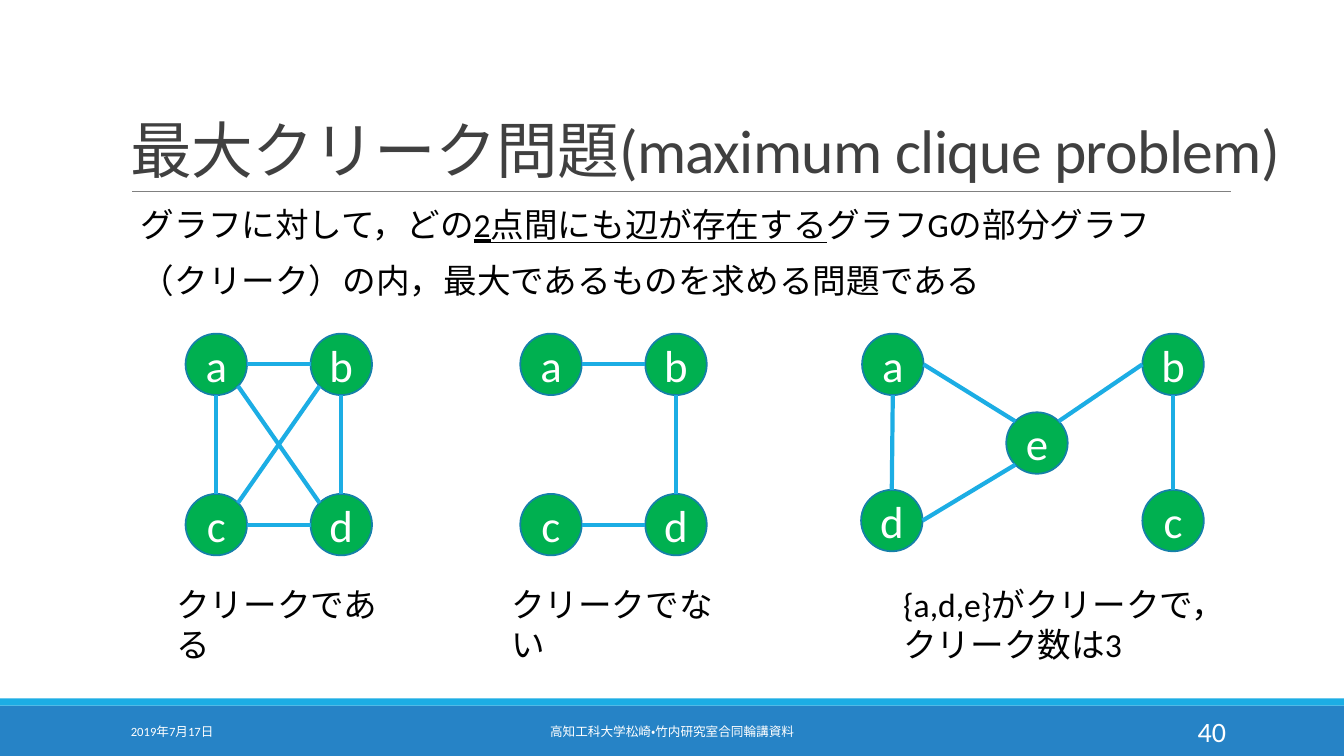
from math import cos, radians, sin

from lxml import etree
from pptx import Presentation
from pptx.dml.color import RGBColor
from pptx.enum.lang import MSO_LANGUAGE_ID
from pptx.enum.shapes import MSO_CONNECTOR, MSO_SHAPE
from pptx.enum.text import MSO_ANCHOR, PP_ALIGN
from pptx.oxml.ns import qn
from pptx.util import Inches, Pt

RECTANGLE, OVAL = MSO_SHAPE.RECTANGLE, MSO_SHAPE.OVAL
STRAIGHT = MSO_CONNECTOR.STRAIGHT
TOP, MIDDLE, BOTTOM = MSO_ANCHOR.TOP, MSO_ANCHOR.MIDDLE, MSO_ANCHOR.BOTTOM
LEFT, CENTER, RIGHT = PP_ALIGN.LEFT, PP_ALIGN.CENTER, PP_ALIGN.RIGHT
JAPANESE = MSO_LANGUAGE_ID.JAPANESE

DIAMETER = 0.61
COMPASS = {"e": 0, "se": 45, "s": 90, "sw": 135, "w": 180, "nw": 225, "n": 270, "ne": 315}


def rgb(value):
    return RGBColor.from_string(value)


class CliqueSlide:
    font = "Calibri"
    black, white, gray = "000000", "FFFFFF", "404040"
    green, outline = "00B050", "1580A9"
    sky, blue, rule_gray = "1CADE4", "2683C6", "808080"

    def __init__(self, slide):
        self.shapes = slide.shapes

    def add_run(self, paragraph, words, size, color, underline=False, spacing=None):
        run = paragraph.add_run()
        run.text = words
        run.font.name = self.font
        run.font.size = Pt(size)
        run.font.color.rgb = rgb(color)
        run.font.language_id = JAPANESE
        if underline:
            run.font.underline = True
        if spacing is not None:
            run.font._element.set("spc", str(round(spacing * 100)))

    def text(self, box, paragraphs, size, color, align=LEFT, anchor=TOP,
             line_spacing=None, before=None, after=None, indent=None, spacing=None):
        frame = self.shapes.add_textbox(*map(Inches, box)).text_frame
        frame.word_wrap = True
        frame.vertical_anchor = anchor
        for index, runs in enumerate(paragraphs):
            paragraph = frame.add_paragraph() if index else frame.paragraphs[0]
            paragraph.alignment = align
            if line_spacing:
                paragraph.line_spacing = line_spacing
            if before is not None:
                paragraph.space_before = Pt(before)
                paragraph.space_after = Pt(after)
            if indent:
                paragraph._p.get_or_add_pPr().set("marL", str(Inches(indent)))
            for words, underline in runs:
                self.add_run(paragraph, words, size, color, underline, spacing)

    def band(self, top, height, color):
        band = self.shapes.add_shape(RECTANGLE, 0, Inches(top), Inches(13.33), Inches(height))
        band.shadow.inherit = False
        band.fill.solid()
        band.fill.fore_color.rgb = rgb(color)
        band.line.fill.background()

    def line(self, start, end, color, width):
        line = self.shapes.add_connector(STRAIGHT, *map(Inches, (*start, *end)))
        line.line.color.rgb = rgb(color)
        line.line.width = Pt(width)
        etree.SubElement(line._element.spPr, qn("a:effectLst"))

    def vertex(self, label, left, top):
        vertex = self.shapes.add_shape(OVAL, *map(Inches, (left, top, DIAMETER, DIAMETER)))
        vertex.shadow.inherit = False
        vertex.fill.solid()
        vertex.fill.fore_color.rgb = rgb(self.green)
        vertex.line.color.rgb = rgb(self.outline)
        vertex.line.width = Pt(1.25)
        frame = vertex.text_frame
        frame.margin_left = frame.margin_right = 0
        frame.vertical_anchor = MIDDLE
        paragraph = frame.paragraphs[0]
        paragraph.alignment = CENTER
        self.add_run(paragraph, label, 32, self.white)

    def graph(self, vertices, edges):
        def rim(label, side):
            left, top = vertices[label]
            angle = radians(COMPASS[side])
            radius = DIAMETER / 2
            return left + radius * (1 + cos(angle)), top + radius * (1 + sin(angle))

        for label, (left, top) in vertices.items():
            self.vertex(label, left, top)
        for start, start_side, end, end_side in edges:
            self.line(rim(start, start_side), rim(end, end_side), self.sky, 3)

    def caption(self, left, width, height, *lines):
        self.text((left, 5.74, width, height), [[(words, False)] for words in lines],
                  24, self.black)


def square(left):
    return {label: (left + 1.24 * (index % 2), 3.31 + 1.59 * (index // 2))
            for index, label in enumerate("abcd")}


def main():
    deck = Presentation()
    deck.slide_width, deck.slide_height = Inches(13.33), Inches(7.5)
    page = CliqueSlide(deck.slides.add_slide(deck.slide_layouts[6]))

    page.band(7, 0.5, page.blue)
    page.band(6.93, 0.07, page.sky)
    page.line((1.31, 1.9), (12.21, 1.9), page.rule_gray, 0.5)
    page.text((1.2, 0.31, 11.6, 1.59), [[("最大クリーク問題(maximum clique problem)", False)]],
              44, page.gray, anchor=BOTTOM, line_spacing=0.85, spacing=-0.5)

    footer = [
        (1.2, 2.7, "2019年7月17日", 9, LEFT),
        (4.03, 5.27, "高知工科大学松崎・竹内研究室合同輪講資料", 9, CENTER),
        (10.83, 1.43, "40", 20, RIGHT),
    ]
    for left, width, words, size, align in footer:
        page.text((left, 7.06, width, 0.4), [[(words, False)]], size, page.white, align, MIDDLE)

    definition = [
        [("グラフに対して，どの", False), ("2点間にも辺が存在する", True),
         ("グラフGの部分グラフ", False)],
        [("（クリーク）の内，最大であるものを求める問題である", False)],
    ]
    page.text((1.2, 2.02, 11, 4.4), definition, 24, page.black,
              line_spacing=0.9, before=12, after=2, indent=0.1)

    path_edges = [("b", "s", "d", "n"), ("c", "e", "d", "w"), ("a", "e", "b", "w")]
    closing_edges = [("a", "s", "c", "n"), ("a", "se", "d", "nw"), ("b", "sw", "c", "ne")]
    page.graph(square(1.84), path_edges + closing_edges)
    page.caption(1.65, 2.23, 0.5, "クリークである")

    page.graph(square(5.16), path_edges)
    page.caption(4.97, 2.25, 0.5, "クリークでない")

    page.graph(
        {"a": (8.55, 3.31), "d": (8.54, 4.86), "e": (9.98, 4.09),
         "b": (11.33, 3.31), "c": (11.33, 4.86)},
        [("a", "s", "d", "n"), ("b", "s", "c", "n"), ("a", "e", "e", "nw"),
         ("e", "sw", "d", "e"), ("b", "w", "e", "ne")],
    )
    page.caption(8.86, 3.07, 0.91, "{a,d,e}がクリークで，", "クリーク数は3")

    deck.save("out.pptx")


if __name__ == "__main__":
    main()
